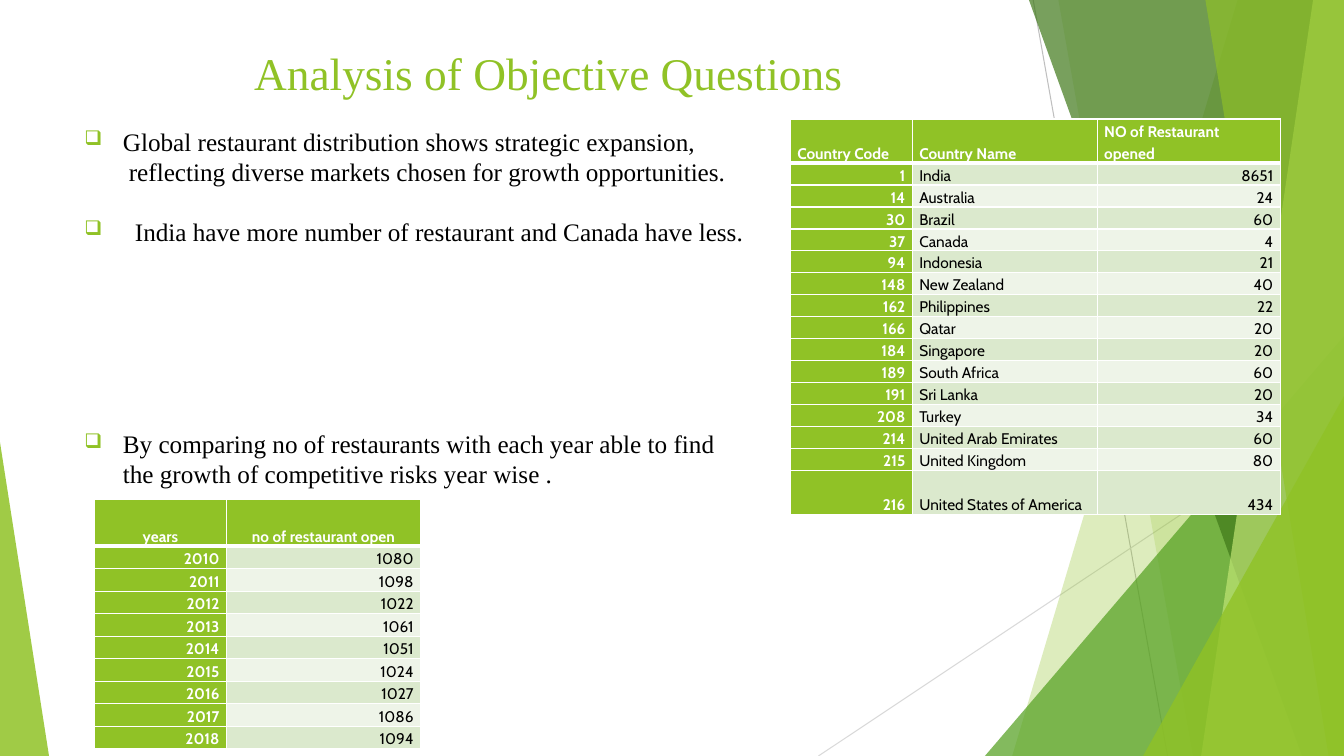
from lxml import etree
from pptx import Presentation
from pptx import util as u
from pptx.dml import color
from pptx.enum import shapes, text
from pptx.oxml import ns

COLOURS = {
    "lime": "90C226", "leaf": "54A021", "forest": "3F7819", "pale": "C0E474",
    "white": "FFFFFF", "black": "000000", "band": "DBE9CD", "light_band": "EEF4E8",
    "grey": "BFBFBF", "light_grey": "D9D9D9",
}
WIDTH, HEIGHT = 960, 540
LEFT, CENTER, RIGHT = text.PP_ALIGN.LEFT, text.PP_ALIGN.CENTER, text.PP_ALIGN.RIGHT

COUNTRIES = [
    (1, "India", 8651), (14, "Australia", 24), (30, "Brazil", 60), (37, "Canada", 4),
    (94, "Indonesia", 21), (148, "New Zealand", 40), (162, "Philippines", 22),
    (166, "Qatar", 20), (184, "Singapore", 20), (189, "South Africa", 60),
    (191, "Sri Lanka", 20), (208, "Turkey", 34), (214, "United Arab Emirates", 60),
    (215, "United Kingdom", 80), (216, "United States of America", 434),
]
OPENINGS = list(enumerate([1080, 1098, 1022, 1061, 1051, 1024, 1027, 1086, 1094], 2010))


class SlideBuilder:
    """Draws styled elements on the current slide, with lengths in points."""

    def __init__(self, deck):
        self.page = deck.slides.add_slide(deck.slide_layouts[6])
        self.body_font = "Times New Roman"
        self.table_font = "Cabin"

    def rgb(self, name):
        return color.RGBColor.from_string(COLOURS[name])

    def child(self, parent, tag, **values):
        return etree.SubElement(parent, ns.qn(tag), values)

    def apply(self, target, values):
        for name, value in values.items():
            setattr(target, name, value)

    def paint(self, shape, colour, opacity):
        shape.shadow.inherit = False
        shape.line.fill.background()
        shape.fill.solid()
        shape.fill.fore_color.rgb = self.rgb(colour)
        tint = shape._element.spPr.find(ns.qn("a:solidFill")).find(ns.qn("a:srgbClr"))
        self.child(tint, "a:alpha", val=str(opacity * 1000))

    def line(self, start, end, colour):
        points = [u.Pt(value) for value in (*start, *end)]
        connector = self.page.shapes.add_connector(shapes.MSO_CONNECTOR.STRAIGHT, *points)
        connector.line.color.rgb = self.rgb(colour)
        connector.line.width = u.Pt(0.75)
        self.child(connector._element.spPr, "a:effectLst")

    def side_panel(self, top_x, bottom_x, colour, opacity):
        corners = [(WIDTH, 0), (WIDTH, HEIGHT), (bottom_x, HEIGHT)]
        builder = self.page.shapes.build_freeform(u.Pt(top_x), 0)
        builder.add_line_segments([(u.Pt(x), u.Pt(y)) for x, y in corners], close=True)
        self.paint(builder.convert_to_shape(), colour, opacity)

    def triangle(self, left, top, width, apex, colour, opacity):
        frame = [u.Pt(value) for value in (left, top, width, HEIGHT - top)]
        shape = self.page.shapes.add_shape(shapes.MSO_SHAPE.ISOSCELES_TRIANGLE, *frame)
        shape.adjustments[0] = apex
        self.paint(shape, colour, opacity)

    def add_words(self, para, words, size, font, colour, **paragraph_format):
        self.apply(para, paragraph_format)
        span = para.add_run()
        span.text = str(words)
        self.apply(span.font, {"size": u.Pt(size), "name": font})
        span.font.color.rgb = self.rgb(colour)
        return span

    def text_box(self, left, top, width, height, inset_top):
        frame = [u.Pt(value) for value in (left, top, width, height)]
        box = self.page.shapes.add_textbox(*frame).text_frame
        self.apply(box, {"word_wrap": True, "margin_top": u.Pt(inset_top)})
        return box

    def title(self, words):
        box = self.text_box(53.3, 26.6, 676.8, 91.4, 6)
        self.add_words(box.paragraphs[0], words, 32.4, self.body_font, "lime",
                       alignment=CENTER)

    def findings(self, lines):
        box = self.text_box(53.3, 85, 875.5, 445, 5)
        for index, (words, indent, bulleted, gap) in enumerate(lines):
            para = box.add_paragraph() if index else box.paragraphs[0]
            self.add_words(para, words, 18, self.body_font, "black",
                           line_spacing=u.Pt(21.5), space_before=u.Pt(gap))
            props = para._p.get_or_add_pPr()
            props.set("marL", str(u.Pt(indent)))
            if bulleted:
                props.set("indent", str(-u.Pt(indent)))
                tint = self.child(props, "a:buClr")
                self.child(tint, "a:srgbClr", val=COLOURS["lime"])
                self.child(props, "a:buSzPct", val="80000")
                self.child(props, "a:buChar", char="❑")

    def border(self, cell, tag, weight):
        edge = self.child(cell._tc.get_or_add_tcPr(), tag, w=str(u.Pt(weight)))
        self.child(self.child(edge, "a:solidFill"), "a:srgbClr", val=COLOURS["white"])

    def cell(self, cell, words, row, column, alignment):
        strong = row == 0 or column == 0
        weights = {"a:lnL": 1, "a:lnR": 1, "a:lnT": 3 if row == 1 else 1,
                   "a:lnB": 3 if row == 0 else 1}
        for tag, weight in weights.items():
            self.border(cell, tag, weight)
        cell.fill.solid()
        band = "band" if row % 2 else "light_band"
        cell.fill.fore_color.rgb = self.rgb("lime" if strong else band)
        self.apply(cell, {"margin_left": u.Pt(5), "margin_right": u.Pt(5), "margin_top": 0,
                          "margin_bottom": 0, "vertical_anchor": text.MSO_ANCHOR.BOTTOM})
        span = self.add_words(cell.text_frame.paragraphs[0], words, 11, self.table_font,
                              "white" if strong else "black",
                              alignment=alignment, line_spacing=1.15)
        span.font.bold = strong

    def table(self, left, top, widths, heights, header, records, header_align, aligns):
        rows = [header, *records]
        frame = [u.Pt(value) for value in (left, top, sum(widths), sum(heights))]
        grid = self.page.shapes.add_table(len(rows), len(header), *frame).table
        for column, width in zip(grid.columns, widths):
            column.width = u.Pt(width)
        for index, (height, record) in enumerate(zip(heights, rows)):
            grid.rows[index].height = u.Pt(height)
            for column, words in enumerate(record):
                alignment = aligns[column] if index else header_align
                self.cell(grid.cell(index, column), words, index, column, alignment)


def main():
    deck = Presentation()
    deck.slide_width, deck.slide_height = u.Pt(WIDTH), u.Pt(HEIGHT)
    slide = SlideBuilder(deck)

    slide.line((738, 0), (834, HEIGHT), "grey")
    slide.line((WIDTH, 290), (584.6, HEIGHT), "light_grey")
    slide.side_panel(884, 723, "lime", 30)
    slide.side_panel(756, 852, "lime", 20)
    slide.triangle(703.5, 240, 256.5, 1, "leaf", 72)
    for panel in [(735, 930, "forest", 70), (938, 858, "pale", 70), (861, 949, "lime", 65)]:
        slide.side_panel(*panel)
    slide.triangle(816.5, 283, 143.5, 1, "lime", 80)
    slide.triangle(0, 316, 35, 0, "lime", 85)

    slide.title("Analysis of Objective Questions")
    slide.findings([
        ("Global restaurant distribution shows strategic expansion,", 27.4, True, 0),
        ("reflecting diverse markets chosen for growth opportunities.", 31.7, False, 0),
        ("India have more number of restaurant and Canada have less.", 36, True, 21.5),
        ("By comparing no of restaurants with each year able to find", 27.4, True, 130),
        ("the growth of competitive risks year wise .", 27.4, False, 0),
    ])
    slide.table(564.5, 85, [87.2, 132, 130.8], [31.5] + [15.7] * 14 + [31.7],
                ("Country Code", "Country Name", "NO of Restaurant opened"),
                COUNTRIES, LEFT, (RIGHT, LEFT, RIGHT))
    slide.table(67.5, 357, [94.3, 138.7], [33.2] + [16.1] * 9,
                ("years", "no of restaurant open"), OPENINGS, CENTER, (RIGHT, RIGHT))
    deck.save("out.pptx")


if __name__ == "__main__":
    main()
